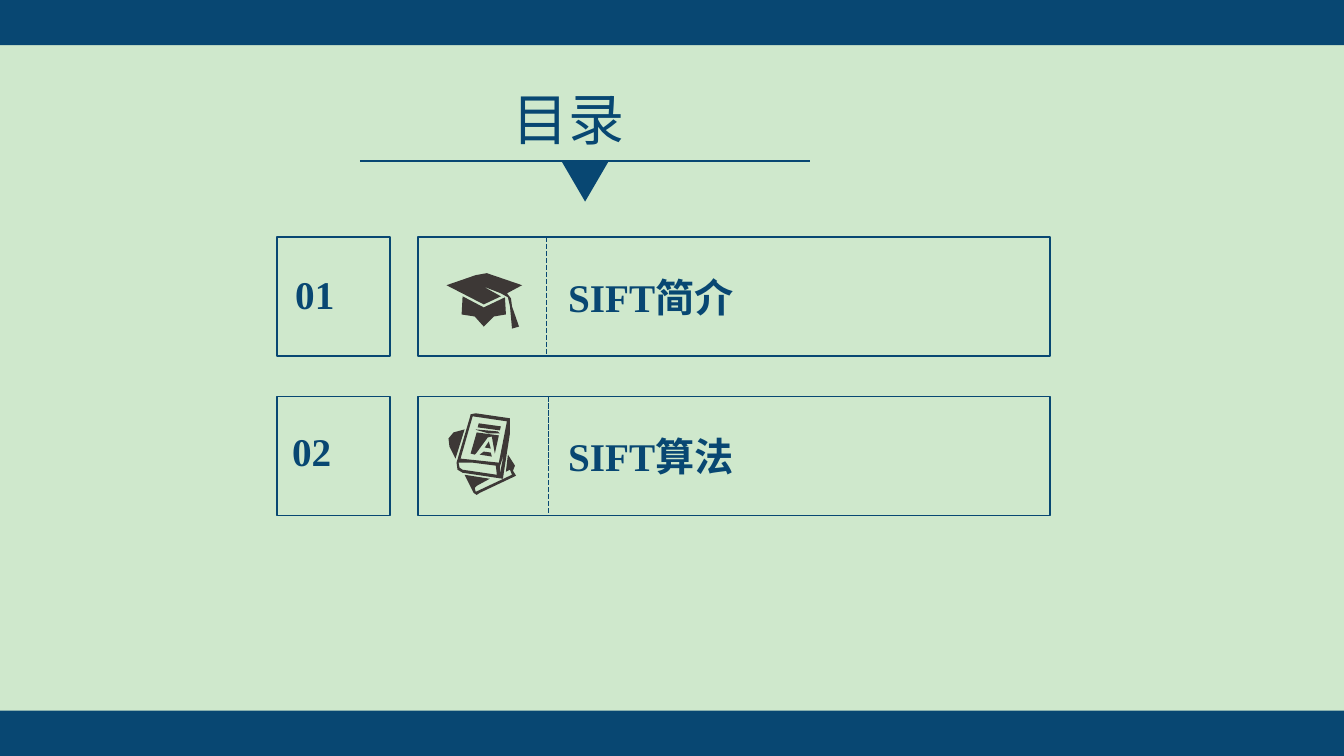
from pptx import Presentation
from pptx.dml.color import RGBColor
from pptx.enum.dml import MSO_LINE
from pptx.enum.shapes import MSO_CONNECTOR, MSO_SHAPE
from pptx.enum.text import MSO_ANCHOR, PP_ALIGN
from pptx.oxml.ns import qn
from pptx.util import Cm, Pt
from lxml import etree

NAVY = RGBColor(0x08, 0x47, 0x72)
MINT = RGBColor(0xCF, 0xE8, 0xCC)
CHARCOAL = RGBColor(0x3D, 0x38, 0x36)
FONT = "Times New Roman"
ICON_UNIT = Cm(0.0254)

# Icon outlines, in hundredths of an inch on the slide
GRADUATION_CAP = [
    [(472, 273), (483, 271), (518, 283), (503, 291), (507, 296), (508, 304),
     (515, 324), (508, 326), (506, 304), (504, 295), (497, 291), (479, 284),
     (497, 294), (480, 302), (443, 283)],
    [(459, 294), (458, 312), (471, 314), (480, 324), (490, 314), (502, 312),
     (501, 295), (480, 305)],
]
BOOKS = [
    [(466, 415), (467, 411), (472, 410), (506, 415), (506, 430), (499, 475),
     (459, 469), (454, 466), (453, 459)],
    [(469, 413), (457, 455), (495, 459), (503, 418)],
    [(500, 450), (496, 463), (496, 470)],
    [(455, 459), (456, 464), (459, 466), (493, 471), (492, 462), (469, 459)],
    [(475, 420), (474, 424), (496, 427), (497, 423)],
    [(472, 426), (474, 427), (485, 430), (496, 430), (494, 428)],
    [(445, 435), (446, 443), (452, 455), (461, 426), (450, 429)],
    [(467, 450), (471, 451), (473, 449), (484, 434), (488, 433), (491, 450),
     (495, 432), (473, 429)],
    [(485, 438), (481, 444), (487, 445)],
    [(476, 451), (488, 453), (487, 449), (480, 448)],
    [(504, 451), (502, 468), (506, 466), (508, 471), (472, 488), (471, 484),
     (473, 482), (486, 475), (461, 471), (470, 489), (473, 491), (476, 489),
     (512, 472), (509, 467), (511, 462)],
]

prs = Presentation()
prs.slide_width, prs.slide_height = Cm(33.87), Cm(19.05)
slide = prs.slides.add_slide(prs.slide_layouts[5])
slide.background.fill.solid()
slide.background.fill.fore_color.rgb = MINT
shapes = slide.shapes


def style_shape(shape, fill=None, line_width=None):
    shape.shadow.inherit = False
    if fill is None:
        shape.fill.background()
    else:
        shape.fill.solid()
        shape.fill.fore_color.rgb = fill
    if line_width is None:
        shape.line.fill.background()
    else:
        shape.line.color.rgb = NAVY
        shape.line.width = Pt(line_width)


def add_rule(x1, y1, x2, y2, width):
    rule = shapes.add_connector(MSO_CONNECTOR.STRAIGHT, Cm(x1), Cm(y1), Cm(x2), Cm(y2))
    rule.line.color.rgb = NAVY
    rule.line.width = Pt(width)
    etree.SubElement(rule._element.spPr, qn("a:effectLst"))
    return rule


for bar_top in (0, 17.91):
    bar = shapes.add_shape(MSO_SHAPE.RECTANGLE, 0, Cm(bar_top), prs.slide_width, Cm(1.14))
    style_shape(bar, NAVY)

# Heading
heading = shapes.title
heading.left, heading.top, heading.width, heading.height = Cm(12.67), Cm(2.01), Cm(5.54), Cm(1.96)
heading.text_frame.text = "目录"
heading.text_frame.vertical_anchor = MSO_ANCHOR.TOP
heading_line = heading.text_frame.paragraphs[0]
heading_line.alignment = PP_ALIGN.LEFT
heading_line.font.size = Pt(40)
heading_line.font.name = FONT
heading_line.font.color.rgb = NAVY

add_rule(9.07, 4.06, 20.42, 4.06, 1.5)
pointer = shapes.add_shape(MSO_SHAPE.ISOSCELES_TRIANGLE, Cm(14.15), Cm(4.06), Cm(1.19), Cm(1.02))
pointer.rotation = 180
style_shape(pointer, NAVY)

# Contents: number, its left and drop, topic, divider position, icon
entries = [
    ("01", 7.19, 0.71, "SIFT简介", 13.77, GRADUATION_CAP),
    ("02", 7.11, 0.66, "SIFT算法", 13.82, BOOKS),
]
ROW_TOP, ROW_PITCH, ROW_HEIGHT = 5.97, 4.02, 3.0

for row, (number, number_left, number_drop, topic, divider_x, icon) in enumerate(entries):
    top = ROW_TOP + row * ROW_PITCH
    for left, width in ((6.99, 2.84), (10.54, 15.93)):
        frame = shapes.add_shape(MSO_SHAPE.RECTANGLE, Cm(left), Cm(top), Cm(width), Cm(ROW_HEIGHT))
        style_shape(frame, line_width=1.25)

    for text, left, drop, width in ((number, number_left, number_drop, 3.6),
                                    (topic, 14.07, 0.78, 11.53)):
        label = shapes.add_textbox(Cm(left), Cm(top + drop), Cm(width), Cm(1.45))
        label.text_frame.word_wrap = True
        label.text_frame.text = text
        font = label.text_frame.paragraphs[0].font
        font.size = Pt(28)
        font.bold = True
        font.name = FONT
        font.color.rgb = NAVY

    divider = add_rule(divider_x, top, divider_x, top + ROW_HEIGHT, 1.25)
    divider.line.dash_style = MSO_LINE.SQUARE_DOT

    outline = shapes.build_freeform(*icon[0][0], scale=ICON_UNIT)
    outline.add_line_segments(icon[0][1:])
    for contour in icon[1:]:
        outline.move_to(*contour[0])
        outline.add_line_segments(contour[1:])
    style_shape(outline.convert_to_shape(), CHARCOAL)

prs.save("out.pptx")
